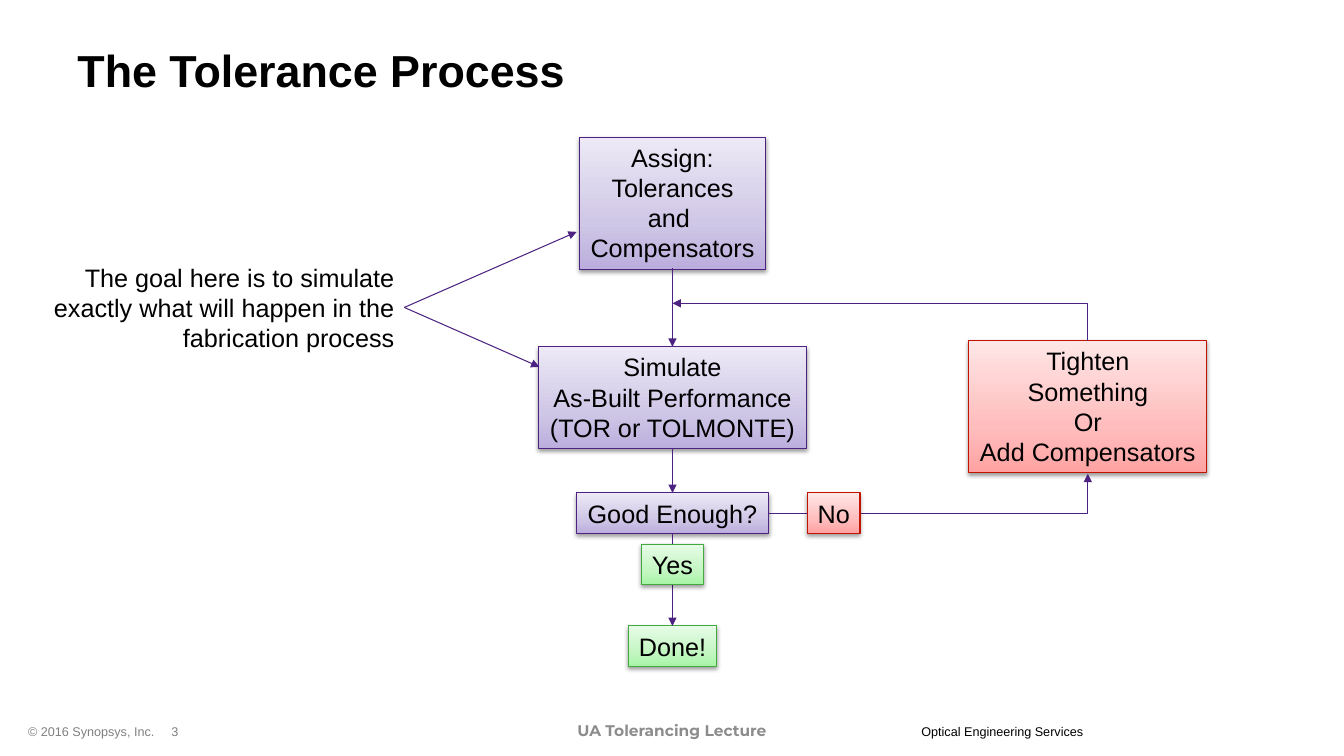
from copy import deepcopy

from lxml import etree
from pptx import Presentation
from pptx.dml.color import RGBColor
from pptx.enum.shapes import MSO_CONNECTOR, MSO_SHAPE
from pptx.enum.text import MSO_ANCHOR, PP_ALIGN
from pptx.oxml.ns import qn
from pptx.util import Inches, Pt

LEFT, CENTER, RIGHT = PP_ALIGN.LEFT, PP_ALIGN.CENTER, PP_ALIGN.RIGHT
TOP, MIDDLE = MSO_ANCHOR.TOP, MSO_ANCHOR.MIDDLE
RECTANGLE = MSO_SHAPE.RECTANGLE
STRAIGHT, ELBOW = MSO_CONNECTOR.STRAIGHT, MSO_CONNECTOR.ELBOW

BLACK = RGBColor(0x00, 0x00, 0x00)
GRAY = RGBColor(0x80, 0x80, 0x80)
FOOTER_GRAY = RGBColor(0x8C, 0x8C, 0x8C)
PURPLE = RGBColor(0x4D, 0x23, 0x82)
GREEN = RGBColor(0x42, 0xA9, 0x3E)
RED = RGBColor(0xC0, 0x13, 0x00)
GRADIENTS = {
    PURPLE: (RGBColor(0xBB, 0xAE, 0xDD), RGBColor(0xCF, 0xC7, 0xE6), RGBColor(0xED, 0xE9, 0xF6)),
    GREEN: (RGBColor(0xA8, 0xF4, 0xA7), RGBColor(0xC3, 0xF6, 0xC2), RGBColor(0xE7, 0xFC, 0xE7)),
    RED: (RGBColor(0xFF, 0xA2, 0xA2), RGBColor(0xFF, 0xBD, 0xBD), RGBColor(0xFF, 0xE6, 0xE6)),
}
GRADIENT_POSITIONS = (0, 0.35, 1)

MAIN_X = 6.67     # axis of the main flow
TIGHTEN_X = 10.79  # axis of the feedback loop
DECISION_Y = 5.09
RETURN_Y = 3.01
GOAL_POINT = (4.01, 3.05)


def write_lines(frame, lines, size, color=BLACK, align=LEFT, font="Arial", bold=False):
    for index, line in enumerate(lines):
        para = frame.paragraphs[0] if index == 0 else frame.add_paragraph()
        para.alignment = align
        span = para.add_run()
        span.text = line
        span.font.name = font
        span.font.size = Pt(size)
        span.font.bold = bold
        span.font.color.rgb = color


def add_label(page, place, text, size, anchor=TOP, **style):
    box = page.shapes.add_textbox(*map(Inches, place))
    box.text_frame.word_wrap = True
    box.text_frame.vertical_anchor = anchor
    write_lines(box.text_frame, [text], size, **style)


def fill_gradient(shape, colors):
    """Fill with three stops running from the bottom edge to the top."""
    shape.fill.gradient()
    shape.fill.gradient_angle = 90
    stop_list = shape.element.spPr.find(".//" + qn("a:gsLst"))
    stop_list.append(deepcopy(stop_list[0]))
    for stop, position, color in zip(shape.fill.gradient_stops, GRADIENT_POSITIONS, colors):
        stop.position = position
        stop.color.rgb = color


def add_soft_shadow(shape):
    shape.shadow.inherit = False
    effects = shape.element.spPr.find(qn("a:effectLst"))
    shadow = etree.SubElement(effects, qn("a:outerShdw"), blurRad="40000", dist="20000",
                              dir="5400000", rotWithShape="0")
    color = etree.SubElement(shadow, qn("a:srgbClr"), val="000000")
    etree.SubElement(color, qn("a:alpha"), val="38000")


def add_step(page, center_x, top, width, height, lines, color=PURPLE):
    box = page.shapes.add_shape(RECTANGLE, Inches(center_x - width / 2), Inches(top),
                                Inches(width), Inches(height))
    fill_gradient(box, GRADIENTS[color])
    box.line.color.rgb = color
    box.line.width = Pt(0.75)
    add_soft_shadow(box)
    box.text_frame.word_wrap = False
    box.text_frame.vertical_anchor = TOP
    write_lines(box.text_frame, lines, 18, align=CENTER)


def add_arrow(page, start, end, kind=STRAIGHT, arrow_end="tailEnd"):
    """Draw a connector; an elbow runs horizontally first, then vertically."""
    arrow = page.shapes.add_connector(kind, *map(Inches, start + end))
    arrow.line.color.rgb = PURPLE
    arrow.line.width = Pt(0.75)
    properties = arrow.element.spPr
    if kind == ELBOW:
        properties.find(qn("a:prstGeom")).set("prst", "bentConnector2")
    etree.SubElement(properties.find(qn("a:ln")), qn("a:" + arrow_end), type="triangle")
    etree.SubElement(properties, qn("a:effectLst"))


def add_footer(page):
    add_label(page, (0.18, 7.13, 4.11, 0.25), "© 2016 Synopsys, Inc.", 9, color=GRAY)
    add_label(page, (1.27, 7.13, 0.93, 0.25), "3", 9, color=GRAY, align=CENTER)
    add_label(page, (9.04, 7.13, 1.93, 0.25), "Optical Engineering Services", 9)
    add_label(page, (4.49, 7.05, 4.35, 0.4), "UA Tolerancing Lecture", 11, MIDDLE,
              color=FOOTER_GRAY, align=CENTER, font="Montserrat", bold=True)


def add_flow(page):
    add_step(page, MAIN_X, 1.36, 1.84, 1.31,
             ["Assign:", "Tolerances", "and ", "Compensators"])
    add_step(page, MAIN_X, 3.44, 2.66, 1.01,
             ["Simulate", "As-Built Performance", "(TOR or TOLMONTE)"])
    add_step(page, MAIN_X, 4.89, 1.9, 0.4, ["Good Enough?"])
    add_step(page, MAIN_X, 6.21, 0.88, 0.4, ["Done!"], GREEN)
    add_step(page, TIGHTEN_X, 3.38, 2.36, 1.31,
             ["Tighten", "Something", "Or", "Add Compensators"], RED)

    for top, bottom in ((2.66, 3.44), (4.45, 4.89), (5.29, 6.21)):
        add_arrow(page, (MAIN_X, top), (MAIN_X, bottom))
    add_arrow(page, (7.62, DECISION_Y), (TIGHTEN_X, 4.7), ELBOW)
    add_arrow(page, (MAIN_X, RETURN_Y), (TIGHTEN_X, 3.38), ELBOW, "headEnd")

    add_step(page, 8.27, 4.89, 0.52, 0.4, ["No"], RED)
    add_step(page, MAIN_X, 5.4, 0.61, 0.4, ["Yes"], GREEN)


def add_goal(page):
    add_label(page, (0.34, 2.55, 3.67, 1.01),
              "The goal here is to simulate exactly what will happen in the fabrication process",
              18, align=RIGHT)
    for target in ((5.72, 2.3), (5.35, 3.64)):
        add_arrow(page, GOAL_POINT, target)


def main():
    deck = Presentation()
    deck.slide_width, deck.slide_height = Inches(13.33), Inches(7.5)
    page = deck.slides.add_slide(deck.slide_layouts[6])
    add_footer(page)
    add_label(page, (0.67, 0.07, 12.66, 1.25), "The Tolerance Process", 32, MIDDLE, bold=True)
    add_flow(page)
    add_goal(page)
    deck.save("out.pptx")


if __name__ == "__main__":
    main()
